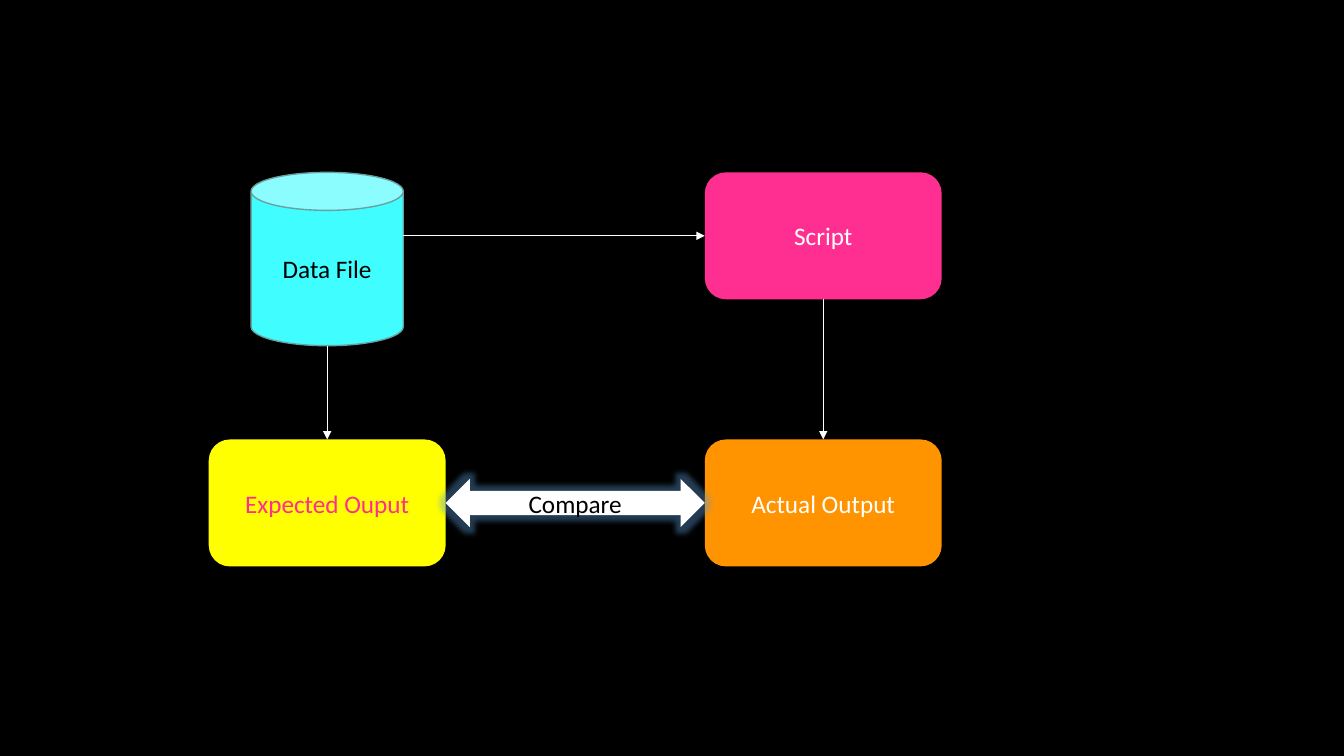
from dataclasses import dataclass

from lxml import etree
from pptx import Presentation
from pptx.dml.color import RGBColor
from pptx.enum.shapes import MSO_CONNECTOR, MSO_SHAPE as Shape
from pptx.enum.text import MSO_ANCHOR, PP_ALIGN
from pptx.oxml.ns import qn
from pptx.util import Inches, Pt


@dataclass(frozen=True)
class Theme:
    font: str = "Calibri"
    text_size: int = 18
    can_line_width: float = 1
    arrow_width: float = 0.5
    black: str = "000000"
    white: str = "FFFFFF"
    cyan: str = "40FDFF"
    can_line: str = "69A1A1"
    pink: str = "FF2F92"
    orange: str = "FF9300"
    yellow: str = "FFFF00"
    glow: str = "5B9BD5"


theme = Theme()


def add_node(preset, left, top, width, height, label, fill, ink):
    """Add a filled shape without outline, with a centred label."""
    node = page.shapes.add_shape(
        preset, Inches(left), Inches(top), Inches(width), Inches(height))
    node.shadow.inherit = False
    node.fill.solid()
    node.fill.fore_color.rgb = RGBColor.from_string(fill)
    node.line.fill.background()
    frame = node.text_frame
    frame.word_wrap = True
    frame.vertical_anchor = MSO_ANCHOR.MIDDLE
    para = frame.paragraphs[0]
    para.alignment = PP_ALIGN.CENTER
    span = para.add_run()
    span.text = label
    span.font.name = theme.font
    span.font.size = Pt(theme.text_size)
    span.font.color.rgb = RGBColor.from_string(ink)
    return node


deck = Presentation()
deck.slide_width, deck.slide_height = Inches(13.33), Inches(7.5)
page = deck.slides.add_slide(deck.slide_layouts[6])
page.background.fill.solid()
page.background.fill.fore_color.rgb = RGBColor.from_string(theme.black)

# Two columns and two rows
box_width, box_height = 2.35, 1.26
left_column, right_column = 2.07, 6.99
top_row, bottom_row = 1.71, 4.36
can_width, can_height = 1.51, 1.72
left_center = left_column + box_width / 2
right_center = right_column + box_width / 2
can_left = left_center - can_width / 2

data_file = add_node(Shape.CAN, can_left, top_row, can_width, can_height,
                     "Data File", theme.cyan, theme.black)
data_file.line.color.rgb = RGBColor.from_string(theme.can_line)
data_file.line.width = Pt(theme.can_line_width)

for left, top, label, fill, ink in (
    (right_column, top_row, "Script", theme.pink, theme.white),
    (right_column, bottom_row, "Actual Output", theme.orange, theme.white),
    (left_column, bottom_row, "Expected Ouput", theme.yellow, theme.pink),
):
    add_node(Shape.ROUNDED_RECTANGLE, left, top, box_width, box_height,
             label, fill, ink)

# Compare arrow fills the gap between the outputs
compare_left, compare_height = left_column + box_width, 0.48
compare = add_node(Shape.LEFT_RIGHT_ARROW, compare_left,
                   bottom_row + (box_height - compare_height) / 2,
                   right_column - compare_left, compare_height,
                   "Compare", theme.white, theme.black)
effects = compare.element.spPr.find(qn("a:effectLst"))
glow = etree.SubElement(effects, qn("a:glow"), rad=str(Inches(0.11)))
glow_color = etree.SubElement(glow, qn("a:srgbClr"), val=theme.glow)
etree.SubElement(glow_color, qn("a:alpha"), val="40000")

script_middle = top_row + box_height / 2
for start_x, start_y, end_x, end_y in (
    (can_left + can_width, script_middle, right_column, script_middle),
    (left_center, top_row + can_height, left_center, bottom_row),
    (right_center, top_row + box_height, right_center, bottom_row),
):
    arrow = page.shapes.add_connector(
        MSO_CONNECTOR.STRAIGHT, Inches(start_x), Inches(start_y),
        Inches(end_x), Inches(end_y))
    arrow.line.color.rgb = RGBColor.from_string(theme.white)
    arrow.line.width = Pt(theme.arrow_width)
    properties = arrow.element.spPr
    etree.SubElement(properties.find(qn("a:ln")), qn("a:tailEnd"), type="triangle")
    etree.SubElement(properties, qn("a:effectLst"))

deck.save("out.pptx")
